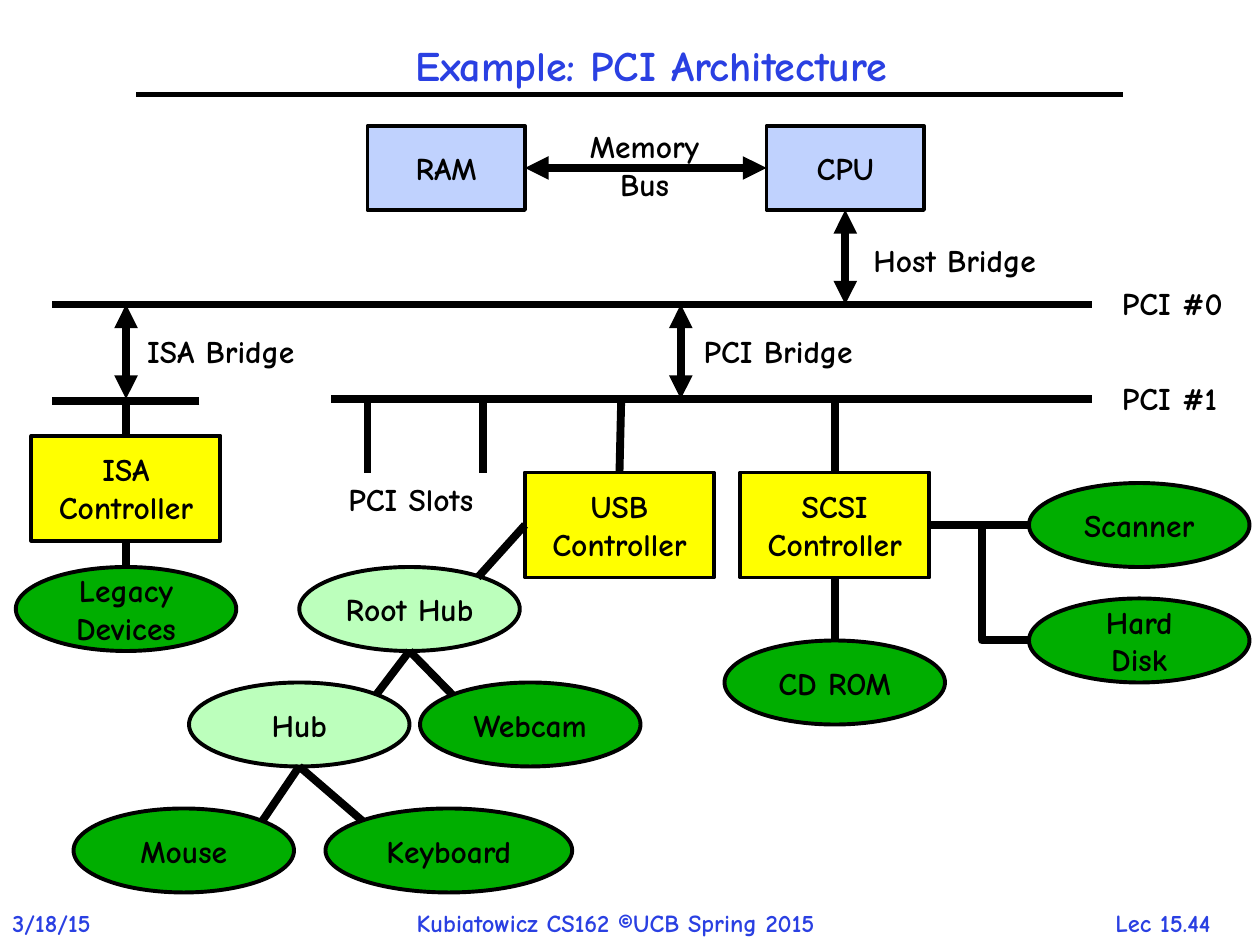
from dataclasses import dataclass

from lxml import etree
from pptx import Presentation
from pptx import util as u
from pptx.dml.color import RGBColor
from pptx.enum import shapes, text
from pptx.oxml import ns

Pt = u.Pt


@dataclass(frozen=True)
class Theme:
    font: str = "Comic Neue"
    blue: str = "2A40E2"
    black: str = "000000"
    chip: str = "C0D2FE"
    controller: str = "FFFF00"
    hub: str = "BCFFBC"
    device: str = "00AE00"
    title_size: float = 24
    label_size: float = 18
    footer_size: float = 14
    outline: float = 2.25
    bus: float = 4.5
    rule: float = 3


theme = Theme()
LEFT, CENTER = text.PP_ALIGN.LEFT, text.PP_ALIGN.CENTER
TOP, WEST, BOTTOM, EAST = range(4)


def write(shape, words, size, color, alignments=(CENTER,)):
    """Fill a shape with text, one alignment per paragraph."""
    shape.text_frame.text = words
    for paragraph, alignment in zip(shape.text_frame.paragraphs, alignments):
        paragraph.alignment = alignment
        paragraph.font.name = theme.font
        paragraph.font.size = Pt(size)
        paragraph.font.bold = True
        paragraph.font.color.rgb = RGBColor.from_string(color)


def draw_line(x1, y1, x2, y2, width=theme.bus, arrows=False,
              kind=shapes.MSO_CONNECTOR.STRAIGHT):
    """Draw a black connector, with arrowheads at both ends if asked."""
    line = slide.shapes.add_connector(kind, Pt(x1), Pt(y1), Pt(x2), Pt(y2))
    line.line.color.rgb = RGBColor.from_string(theme.black)
    line.line.width = Pt(width)
    if arrows:
        outline = line.line._get_or_add_ln()
        for end in ("a:headEnd", "a:tailEnd"):
            etree.SubElement(outline, ns.qn(end), type="triangle")
    etree.SubElement(line._element.spPr, ns.qn("a:effectLst"))
    return line


presentation = Presentation()
presentation.slide_width, presentation.slide_height = Pt(720), Pt(540)
slide = presentation.slides.add_slide(presentation.slide_layouts[5])

# Title and its rule
title = slide.shapes.title
title.left, title.top, title.width, title.height = Pt(90), Pt(18), Pt(564), Pt(42)
write(title, "Example: PCI Architecture", theme.title_size, theme.blue)
title.text_frame.paragraphs[0].line_spacing = 0.9
title.text_frame.vertical_anchor = text.MSO_ANCHOR.MIDDLE
title.text_frame.auto_size = text.MSO_AUTO_SIZE.NONE
draw_line(78, 54, 642, 54, theme.rule)

# Chips, controllers, hubs and devices: words, left, top
RECTANGLE, OVAL = shapes.MSO_SHAPE.RECTANGLE, shapes.MSO_SHAPE.OVAL
node_groups = [
    (RECTANGLE, theme.chip, 90, 48, [("CPU", 438, 72), ("RAM", 210, 72)]),
    (RECTANGLE, theme.controller, 108, 60, [
        ("USB\vController", 300, 270),
        ("SCSI\vController", 423, 270),
        ("ISA\vController", 18, 249)]),
    (OVAL, theme.hub, 126, 48, [("Root Hub", 171, 324), ("Hub", 108, 390)]),
    (OVAL, theme.device, 126, 48, [
        ("Scanner", 588, 276), ("Hard Disk", 588, 342), ("CD ROM", 414, 366),
        ("Webcam", 240, 390), ("Mouse", 42, 462),
        ("Legacy\vDevices", 9, 324)]),
    (OVAL, theme.device, 141, 48, [("Keyboard", 186, 462)]),
]
nodes = {}
for outline, fill, width, height, members in node_groups:
    for words, left, top in members:
        node = slide.shapes.add_shape(outline, Pt(left), Pt(top), Pt(width), Pt(height))
        node.shadow.inherit = False
        node.fill.solid()
        node.fill.fore_color.rgb = RGBColor.from_string(fill)
        node.line.color.rgb = RGBColor.from_string(theme.black)
        node.line.width = Pt(theme.outline)
        node.text_frame.vertical_anchor = text.MSO_ANCHOR.MIDDLE
        write(node, words, theme.label_size, theme.black)
        nodes[words.split("\v")[0]] = node

# Buses: left, right, height on the slide
host_bus, pci_bus, isa_bus = 174, 228, 229
for left, right, y in [(30, 624, host_bus), (189, 624, pci_bus), (30, 114, isa_bus)]:
    draw_line(right, y, left, y)

# Bridges between buses, and the memory bus
for x in (72, 389):
    draw_line(x, host_bus, x, pci_bus, arrows=True)
memory_bus = draw_line(300, 96, 438, 96, arrows=True)
memory_bus.begin_connect(nodes["RAM"], EAST)
memory_bus.end_connect(nodes["CPU"], WEST)
host_bridge = draw_line(483, 120, 483, host_bus, arrows=True)
host_bridge.begin_connect(nodes["CPU"], BOTTOM)

# Empty PCI slots
for x in (210, 276):
    draw_line(x, 270, x, pci_bus)

# Lines that start at a controller: name, side, start, end
for name, side, start, end in [
    ("USB", TOP, (354, 270), (355, pci_bus)),
    ("USB", WEST, (300, 300), (273, 330)),
    ("SCSI", TOP, (477, 270), (477, pci_bus)),
    ("SCSI", EAST, (531, 300), (588, 300)),
    ("SCSI", BOTTOM, (477, 330), (477, 366)),
    ("ISA", TOP, (72, 249), (72, isa_bus)),
    ("ISA", BOTTOM, (72, 309), (72, 324)),
]:
    draw_line(*start, *end).begin_connect(nodes[name], side)

# Branches below the hubs
for hub_x, hub_y, ends in [
    (234, 372, [(215, 397), (258.5, 397)]),
    (171, 438, [(150, 469), (207, 469)]),
]:
    for end in ends:
        draw_line(hub_x, hub_y, *end)

# Elbow down to the hard disk: one bend, turned a quarter
elbow = draw_line(607.5, 319.5, 541.5, 346.5, kind=shapes.MSO_CONNECTOR.ELBOW)
elbow.rotation = 270
elbow._element.spPr.find(ns.qn("a:prstGeom")).set("prst", "bentConnector2")
elbow._element.spPr.find(ns.qn("a:xfrm")).set("rot", str(270 * 60000))

# Labels and footer: words, left, top, width, height, alignments
label_style = (theme.label_size, theme.black)
footer_style = (theme.footer_size, theme.blue)
for style, labels in [
    (label_style, [
        ("Memory\nBus", 330, 69, 83.5, 51, (LEFT, CENTER)),
        ("PCI #0", 634, 159, 80, 29, (LEFT,)),
        ("PCI #1", 634, 213, 80, 29, (LEFT,)),
        ("PCI Bridge", 395, 186, 109, 29, (LEFT,)),
        ("ISA Bridge", 77, 186, 114, 29, (LEFT,)),
        ("Host Bridge", 492, 134, 119.5, 29, (LEFT,)),
        ("PCI Slots", 192, 271, 98, 29, (LEFT,))]),
    (footer_style, [
        ("3/18/15", 0, 515.5, 72, 24.5, (LEFT,)),
        ("Kubiatowicz CS162 ©UCB Spring 2015", 231, 515.5, 278.5, 24.5, (LEFT,)),
        ("Lec 15.44", 616.5, 515.5, 96, 24.5, (CENTER,))]),
]:
    for words, left, top, width, height, alignments in labels:
        label = slide.shapes.add_textbox(Pt(left), Pt(top), Pt(width), Pt(height))
        label.text_frame.word_wrap = False
        label.text_frame.auto_size = text.MSO_AUTO_SIZE.SHAPE_TO_FIT_TEXT
        write(label, words, *style, alignments)

presentation.save("out.pptx")
